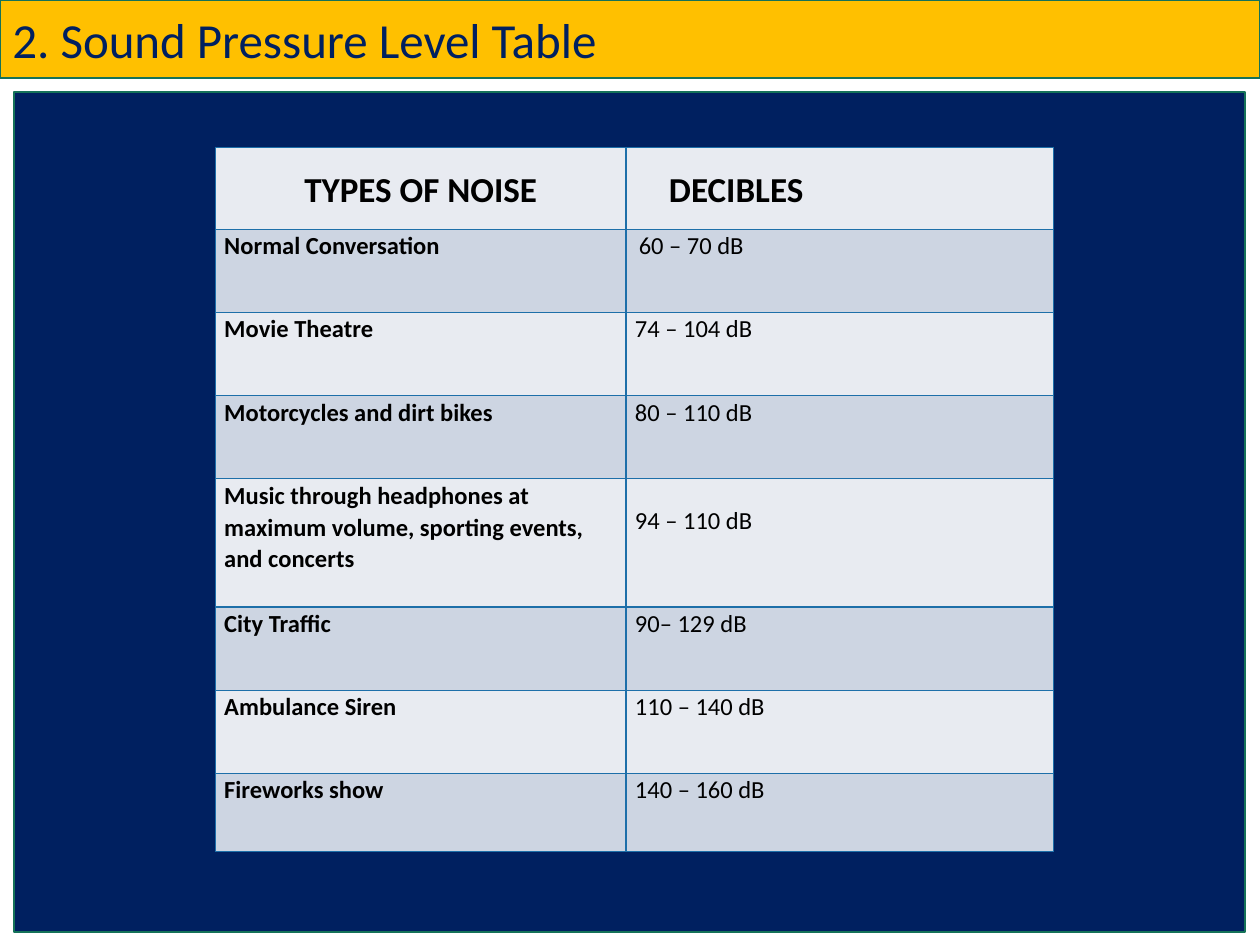
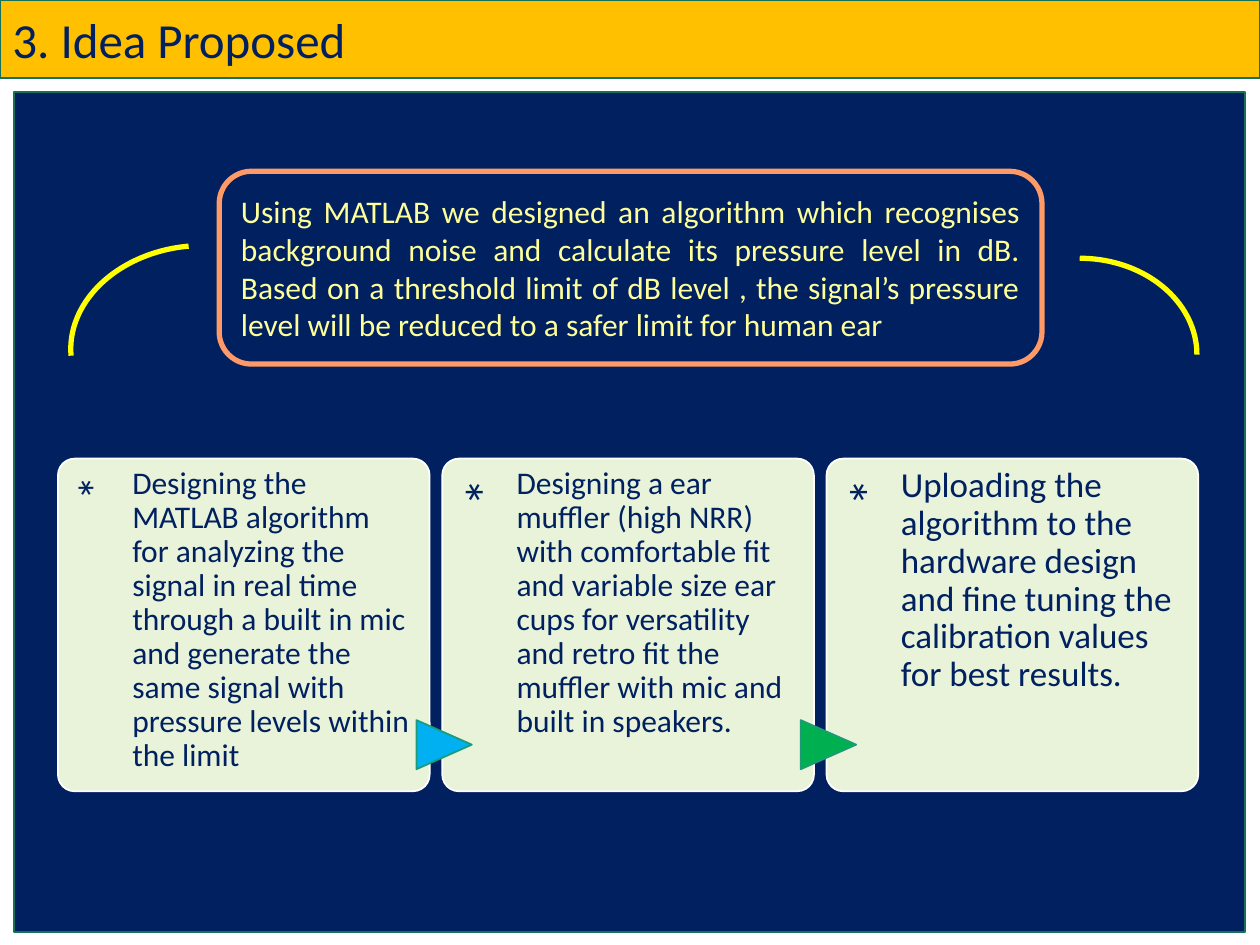
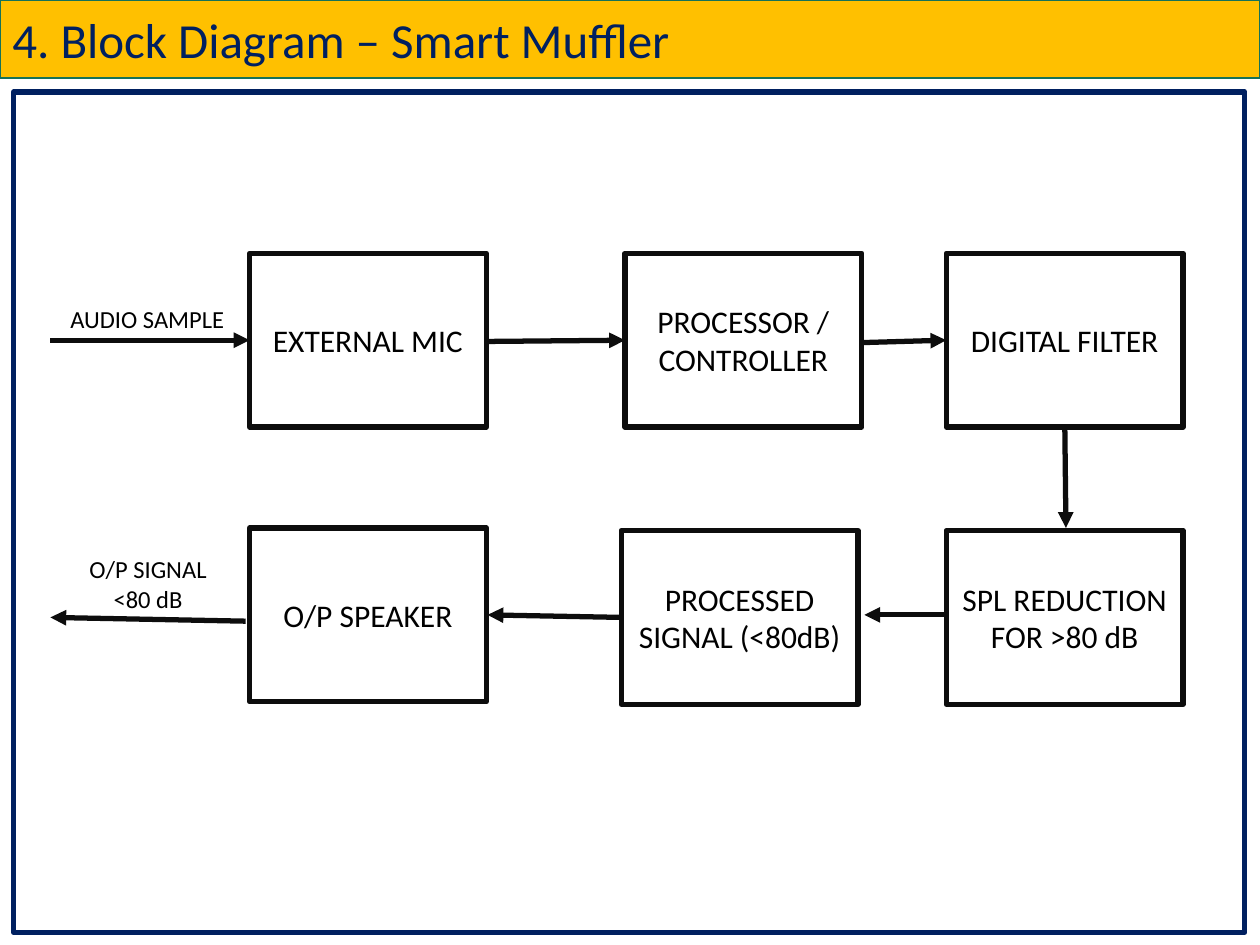
from dataclasses import dataclass

from lxml.etree import SubElement
from pptx import Presentation
from pptx.dml.color import RGBColor
from pptx.enum.shapes import MSO_CONNECTOR, MSO_SHAPE
from pptx.enum.text import MSO_ANCHOR, PP_ALIGN
from pptx.oxml.ns import qn
from pptx.util import Inches, Pt


@dataclass(frozen=True)
class Theme:
    font: str = "Calibri"
    navy: str = "002060"
    gold: str = "FFC000"
    edge: str = "157259"
    white: str = "FFFFFF"
    black: str = "000000"
    ink: str = "0D0D0D"
    rule: str = "1D6FA9"
    pale: str = "E8EBF1"
    dim: str = "CDD5E2"
    coral: str = "FF9966"
    cream: str = "FFFF99"
    yellow: str = "FFFF00"
    mint: str = "E8F3DA"
    sky: str = "00B0F0"
    green: str = "00B050"
    teal: str = "1D9A78"
    title: int = 28
    head: int = 20
    body: int = 18
    small: int = 14
    thin: int = 1
    thick: int = 3


LEFT, MID, JUST = PP_ALIGN.LEFT, PP_ALIGN.CENTER, PP_ALIGN.JUSTIFY
PAD = (0.1, 0.05, 0.1, 0.05)


def tint(hue):
    return RGBColor.from_string(hue)


class Deck:
    def __init__(self, theme):
        self.theme = theme
        self.file = Presentation()
        self.file.slide_width, self.file.slide_height = Inches(10), Inches(7.5)
        self.slide = None

    def page(self, title, fill, line, width):
        """Start a slide with its framed panel and title band."""
        t = self.theme
        self.slide = self.file.slides.add_slide(self.file.slide_layouts[6])
        self.shape(MSO_SHAPE.RECTANGLE, (0.11, 0.73, 9.77, 6.67), fill, line, width)
        band = self.shape(MSO_SHAPE.RECTANGLE, (0, 0, 10, 0.62), t.gold, t.edge)
        self.label(band.text_frame, [title], t.title, t.navy)

    def shape(self, kind, box, fill, line, width=1, turn=0):
        item = self.slide.shapes.add_shape(kind, *map(Inches, box))
        item.shadow.inherit = False
        item.rotation = turn
        if fill:
            item.fill.solid()
            item.fill.fore_color.rgb = tint(fill)
        else:
            item.fill.background()
        item.line.color.rgb = tint(line)
        item.line.width = Pt(width)
        item.text_frame.vertical_anchor = MSO_ANCHOR.MIDDLE
        return item

    def label(self, frame, lines, size, hue, align=LEFT, bold=False, space=1.0):
        """Fill a text frame with one paragraph per line."""
        frame.word_wrap = True
        for i, line in enumerate(lines):
            para = frame.add_paragraph() if i else frame.paragraphs[0]
            para.alignment, para.line_spacing = align, space
            run = para.add_run()
            run.text = line
            font = run.font
            font.name, font.size, font.bold = self.theme.font, Pt(size), bold
            font.color.rgb = tint(hue)

    def text(self, box, lines, size, hue, align=LEFT, space=1.0, pad=PAD,
             turn=0, wrap=True):
        item = self.slide.shapes.add_textbox(*map(Inches, box))
        item.rotation = turn
        frame = item.text_frame
        self.pad(frame, pad)
        self.label(frame, lines, size, hue, align, space=space)
        frame.word_wrap = wrap

    def pad(self, item, pad):
        """Set the left, top, right and bottom margins of a frame or cell."""
        (item.margin_left, item.margin_top,
         item.margin_right, item.margin_bottom) = map(Inches, pad)

    def arrow(self, start, end):
        ends = map(Inches, (*start, *end))
        item = self.slide.shapes.add_connector(MSO_CONNECTOR.STRAIGHT, *ends)
        item.line.color.rgb = tint(self.theme.ink)
        item.line.width = Pt(self.theme.thick)
        props = item._element.spPr
        SubElement(props.find(qn("a:ln")), qn("a:tailEnd"), type="triangle")
        SubElement(props, qn("a:effectLst"))

    def table(self, spot, cols, rows):
        """Add an empty table with the given column widths and row heights."""
        size = (sum(cols), sum(rows))
        grid = self.slide.shapes.add_table(
            len(rows), len(cols), *map(Inches, (*spot, *size))).table
        grid.first_row = grid.horz_banding = False
        for col, width in zip(grid.columns, cols):
            col.width = Inches(width)
        for row, height in zip(grid.rows, rows):
            row.height = Inches(height)
        return grid

    def cell(self, cell, line, fill, size, pad, **style):
        self.pad(cell, pad)
        props = cell._tc.get_or_add_tcPr()
        for side in ("lnL", "lnR", "lnT", "lnB"):
            edge = SubElement(props, qn(f"a:{side}"), w=str(Pt(self.theme.thin)))
            paint = SubElement(edge, qn("a:solidFill"))
            SubElement(paint, qn("a:srgbClr"), val=self.theme.rule)
        cell.fill.solid()
        cell.fill.fore_color.rgb = tint(fill)
        self.label(cell.text_frame, [line], size, self.theme.black, **style)


NOISE = [
    ("Normal Conversation", "60 – 70 dB"),
    ("Movie Theatre", "74 – 104 dB"),
    ("Motorcycles and dirt bikes", "80 – 110 dB"),
    ("Music through headphones at maximum volume, sporting events, and concerts",
     "94 – 110 dB"),
    ("City Traffic", "90– 129 dB"),
    ("Ambulance Siren", "110 – 140 dB"),
    ("Fireworks show", "140 – 160 dB"),
]


def levels(deck):
    t = deck.theme
    deck.page("2. Sound Pressure Level Table", t.navy, t.edge, t.thin)
    tall = 4
    rows = [0.65, 0.66, 0.66, 0.66, 1.02, 0.66, 0.66, 0.62]
    grid = deck.table((1.71, 1.17), [3.26, 3.39], rows)
    side = 0.07
    head = dict(bold=True, space=1.5)
    deck.cell(grid.cell(0, 0), "TYPES OF NOISE", t.pale, t.head,
              (side, 0, side, 0), align=MID, **head)
    deck.cell(grid.cell(0, 1), "DECIBLES", t.pale, t.head,
              (0.34, 0, side, 0), **head)
    for i, (name, level) in enumerate(NOISE, 1):
        fill = t.dim if i % 2 else t.pale
        deck.cell(grid.cell(i, 0), name, fill, t.small,
                  (side, 0, side, 0), bold=True, space=1.07)
        left = 0.1 if i == 1 else side
        top = 0.2 if i == tall else 0
        deck.cell(grid.cell(i, 1), level, fill, t.small,
                  (left, top, side, 0), space=1.07)


def idea(deck):
    t = deck.theme
    deck.page("3. Idea Proposed", t.navy, t.edge, t.thin)
    goal = deck.shape(MSO_SHAPE.ROUNDED_RECTANGLE, (1.74, 1.36, 6.53, 1.53),
                      None, t.coral, t.thick)
    deck.label(goal.text_frame, [
        "Using MATLAB we designed an algorithm which recognises background noise "
        "and calculate its pressure level in dB. Based on a threshold limit of dB "
        "level , the signal’s pressure level will be reduced to a safer limit for "
        "human ear"], t.body, t.cream, JUST)
    for box, turn in (((0.78, 1.73, 1.57, 2.01), 265), ((7.64, 2.05, 1.86, 1.53), 0)):
        deck.shape(MSO_SHAPE.ARC, box, None, t.yellow, t.thick, turn)

    steps = [
        ("Designing the MATLAB algorithm for analyzing the signal in real time "
         "through a built in mic and generate the same signal with pressure levels "
         "within the limit", t.body, 28, None),
        ("Designing a ear muffler (high NRR) with comfortable fit and variable size "
         "ear cups for versatility and retro fit the muffler with mic and built in "
         "speakers.", t.body, 32, t.sky),
        ("Uploading the algorithm to the hardware design and fine tuning the "
         "calibration values for best results.", t.head, 32, t.green),
    ]
    top, high = 3.64, 2.64
    for i, (line, size, star, hue) in enumerate(steps):
        x = 0.46 + 3.05 * i
        card = deck.shape(MSO_SHAPE.ROUNDED_RECTANGLE, (x, top, 2.95, high),
                          t.mint, t.white)
        card.adjustments[0] = 0.05
        deck.text((x - 0.79, 4.43, 2.17, 0.59), ["*"], star, t.navy,
                  PP_ALIGN.RIGHT, 0.9, (0, star / 270, star / 200, 0), 270)
        if hue:
            deck.shape(MSO_SHAPE.FLOWCHART_EXTRACT, (x - 0.18, 5.69, 0.39, 0.44),
                       hue, t.teal, turn=90)
        deck.text((x + 0.59, top, 2.2, high), [line], size, t.navy,
                  space=0.9, pad=(0, 0.07, 0, 0))


def blocks(deck):
    t = deck.theme
    deck.page("4. Block Diagram – Smart Muffler", None, t.navy, t.thick)
    flow = [
        ((0.4, 2.7), (1.98, 2.7)),
        ((3.87, 2.71), (4.96, 2.7)),
        ((6.82, 2.72), (7.51, 2.7)),
        ((8.45, 3.27), (8.46, 4.19)),
        ((7.51, 4.88), (6.86, 4.88)),
        ((4.93, 4.9), (3.87, 4.88)),
        ((1.95, 4.93), (0.4, 4.9)),
    ]
    for start, end in flow:
        deck.arrow(start, end)
    parts = [
        (1.98, 2.01, "EXTERNAL MIC"),
        (4.96, 2.01, "PROCESSOR / CONTROLLER"),
        (7.51, 2.01, "DIGITAL FILTER"),
        (7.51, 4.21, "SPL REDUCTION FOR >80 dB"),
        (4.93, 4.21, "PROCESSED SIGNAL (<80dB)"),
        (1.98, 4.19, "O/P SPEAKER"),
    ]
    for x, y, name in parts:
        part = deck.shape(MSO_SHAPE.RECTANGLE, (x, y, 1.88, 1.38),
                          t.white, t.ink, t.thick)
        deck.label(part.text_frame, [name], t.body, t.black, MID)
    deck.text((0.46, 2.36, 1.46, 0.35), ["AUDIO SAMPLE"], t.small, t.black, wrap=False)
    deck.text((0.57, 4.35, 1.21, 0.59), ["O/P SIGNAL", "<80 dB"], t.small, t.black,
              MID, wrap=False)


def main():
    deck = Deck(Theme())
    for build in (levels, idea, blocks):
        build(deck)
    deck.file.save("out.pptx")


if __name__ == "__main__":
    main()
